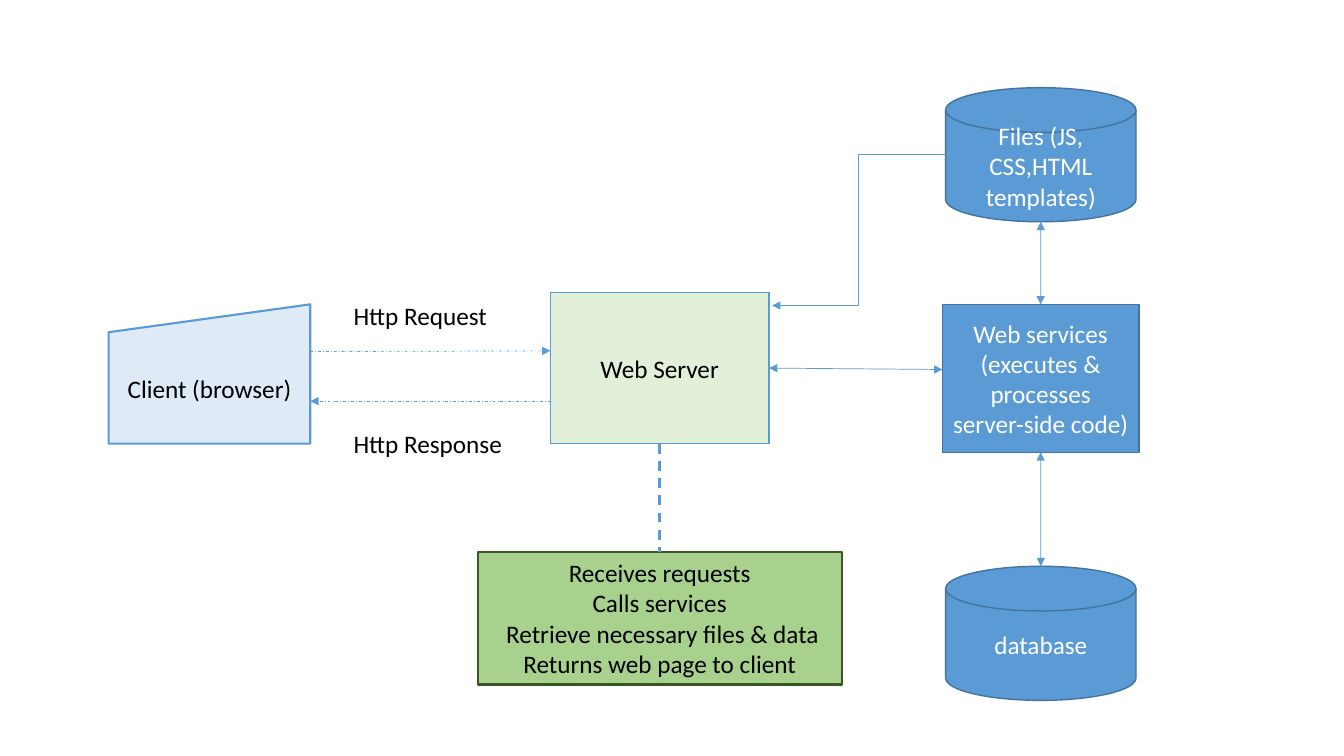
import pptx
import pptx.util
import pptx.dml.color
import pptx.enum.dml
import pptx.enum.shapes
import pptx.enum.text
import pptx.oxml.ns
from lxml import etree

Cm, Pt = pptx.util.Cm, pptx.util.Pt
SHAPE = pptx.enum.shapes.MSO_SHAPE
LINK = pptx.enum.shapes.MSO_CONNECTOR
DASH = pptx.enum.dml.MSO_LINE
ALIGN = pptx.enum.text.PP_ALIGN
ANCHOR = pptx.enum.text.MSO_ANCHOR

# Content: text, preset, (left, top, width, height) in cm, look
BLUE, WHITE, BLACK = "5B9BD5", "FFFFFF", "000000"
BLUE_LOOK = dict(fill=BLUE, line="43739E", color=WHITE)
NODES = {
    "database": (["database"], SHAPE.FLOWCHART_MAGNETIC_DISK,
                 (23.83, 14.27, 4.8, 3.38), BLUE_LOOK),
    "client": (["Client (browser)"], SHAPE.FLOWCHART_MANUAL_INPUT,
               (2.74, 7.67, 5.08, 3.51), dict(fill="DEEBF7", line=BLUE, weight=1.5)),
    "server": (["Web Server"], SHAPE.FLOWCHART_PROCESS,
               (13.87, 7.37, 5.51, 3.81), dict(fill="E2F0D9", line=BLUE)),
    "services": (["Web services (executes & processes server-side code)"],
                 SHAPE.FLOWCHART_PROCESS, (23.75, 7.67, 4.95, 3.73), BLUE_LOOK),
    "files": (["Files (JS, CSS,HTML templates)"], SHAPE.FLOWCHART_MAGNETIC_DISK,
              (23.83, 2.21, 4.8, 3.38), BLUE_LOOK),
    "tasks": (["Receives requests", "Calls services",
               " Retrieve necessary files & data", "Returns web page to client"],
              SHAPE.RECTANGLE, (12.04, 13.92, 9.17, 3.33),
              dict(fill="A9D18E", line="385723", weight=1.5, anchor=ANCHOR.TOP)),
}
MESSAGES = [("Http Request", 7.44), ("Http Response", 10.67)]
MESSAGE_LEFT, MESSAGE_SIZE = 8.66, (4.37, 1.02)


def rgb(hex_color):
    return pptx.dml.color.RGBColor.from_string(hex_color)


def write(frame, lines, color=BLACK, align=ALIGN.CENTER, anchor=ANCHOR.MIDDLE):
    frame.word_wrap = True
    frame.vertical_anchor = anchor
    for number, line in enumerate(lines):
        paragraph = frame.add_paragraph() if number else frame.paragraphs[0]
        paragraph.alignment = align
        run = paragraph.add_run()
        run.text = line
        run.font.name, run.font.size = "Calibri", Pt(18)
        run.font.color.rgb = rgb(color)


def add_node(lines, preset, box, fill, line, weight=1, **text_format):
    node = slide.shapes.add_shape(preset, *map(Cm, box))
    node.shadow.inherit = False
    node.fill.solid()
    node.fill.fore_color.rgb = rgb(fill)
    node.line.color.rgb = rgb(line)
    node.line.width = Pt(weight)
    write(node.text_frame, lines, **text_format)


def add_link(start, end, kind=LINK.STRAIGHT, weight=0.5, dash=None, arrows=("tailEnd",)):
    link = slide.shapes.add_connector(kind, *map(Cm, start + end))
    link.line.color.rgb = rgb(BLUE)
    link.line.width = Pt(weight)
    if dash:
        link.line.dash_style = dash
    outline = link.line._get_or_add_ln()
    for arrow in arrows:
        etree.SubElement(outline, pptx.oxml.ns.qn("a:" + arrow), type="triangle")
    etree.SubElement(link._element.spPr, pptx.oxml.ns.qn("a:effectLst"))


def point(name, across, down):
    """Point of a node, given as fractions of its width and height."""
    left, top, width, height = NODES[name][2]
    return left + across * width, top + down * height


presentation = pptx.Presentation()
presentation.slide_width, presentation.slide_height = Cm(33.87), Cm(19.05)
slide = presentation.slides.add_slide(presentation.slide_layouts[6])

# Nodes
for lines, preset, box, look in NODES.values():
    add_node(lines, preset, box, **look)

# Messages between client and server
for message, top in MESSAGES:
    label = slide.shapes.add_textbox(*map(Cm, (MESSAGE_LEFT, top) + MESSAGE_SIZE))
    write(label.text_frame, [message], align=ALIGN.LEFT, anchor=ANCHOR.TOP)
client_right, server_left = point("client", 1, 0)[0], point("server", 0, 0)[0]
add_link((client_right, 8.86), (server_left, 8.84), dash=DASH.DASH_DOT)
add_link((server_left, 10.11), (client_right, 10.11), dash=DASH.DASH_DOT)

# Server to its files, services and tasks
BOTH = ("headEnd", "tailEnd")
add_link(point("files", 0, 0.5), (19.46, 7.7), kind=LINK.ELBOW)
add_link(point("server", 1, 0.5), point("services", 0, 0.44), arrows=BOTH)
add_link(point("server", 0.5, 1), point("tasks", 0.5, 0),
         weight=1.75, dash=DASH.DASH, arrows=())

# Services to the stores above and below
for upper, lower in [("files", "services"), ("services", "database")]:
    add_link(point(upper, 0.5, 1), point(lower, 0.5, 0), arrows=BOTH)

presentation.save("out.pptx")
